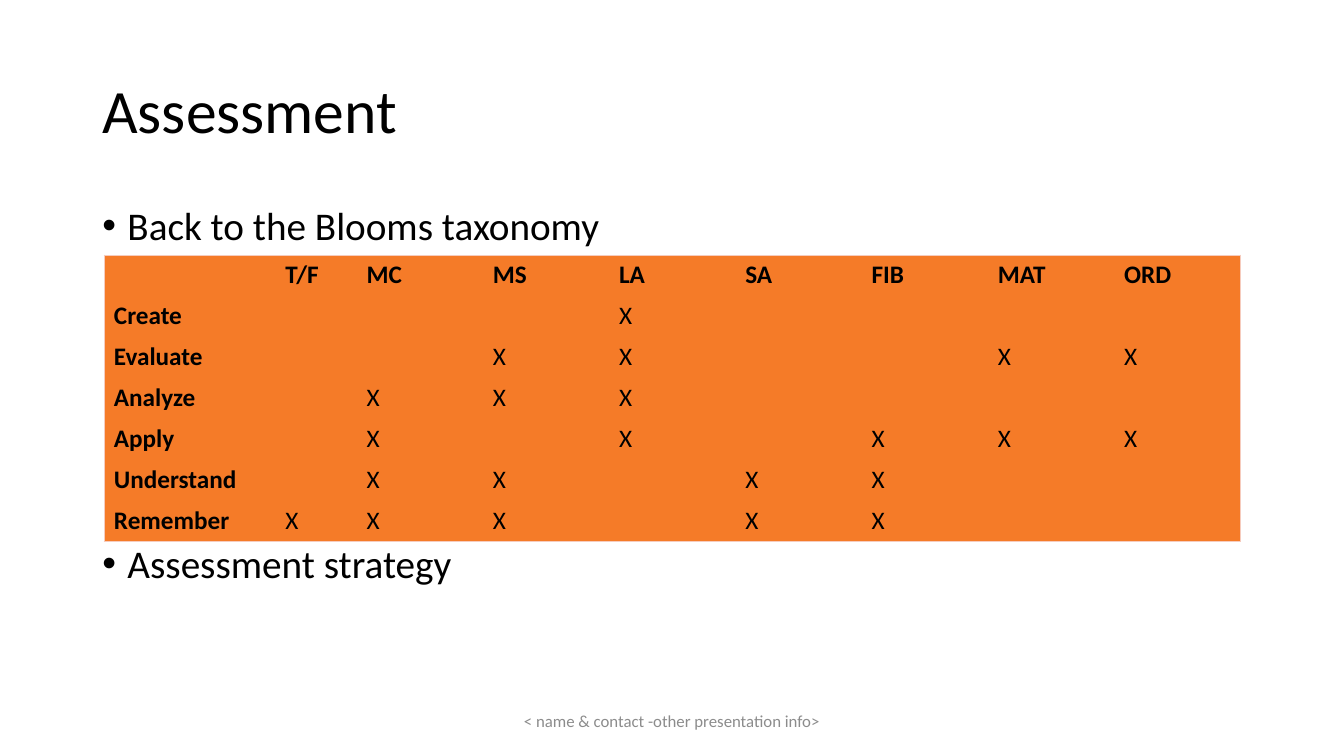
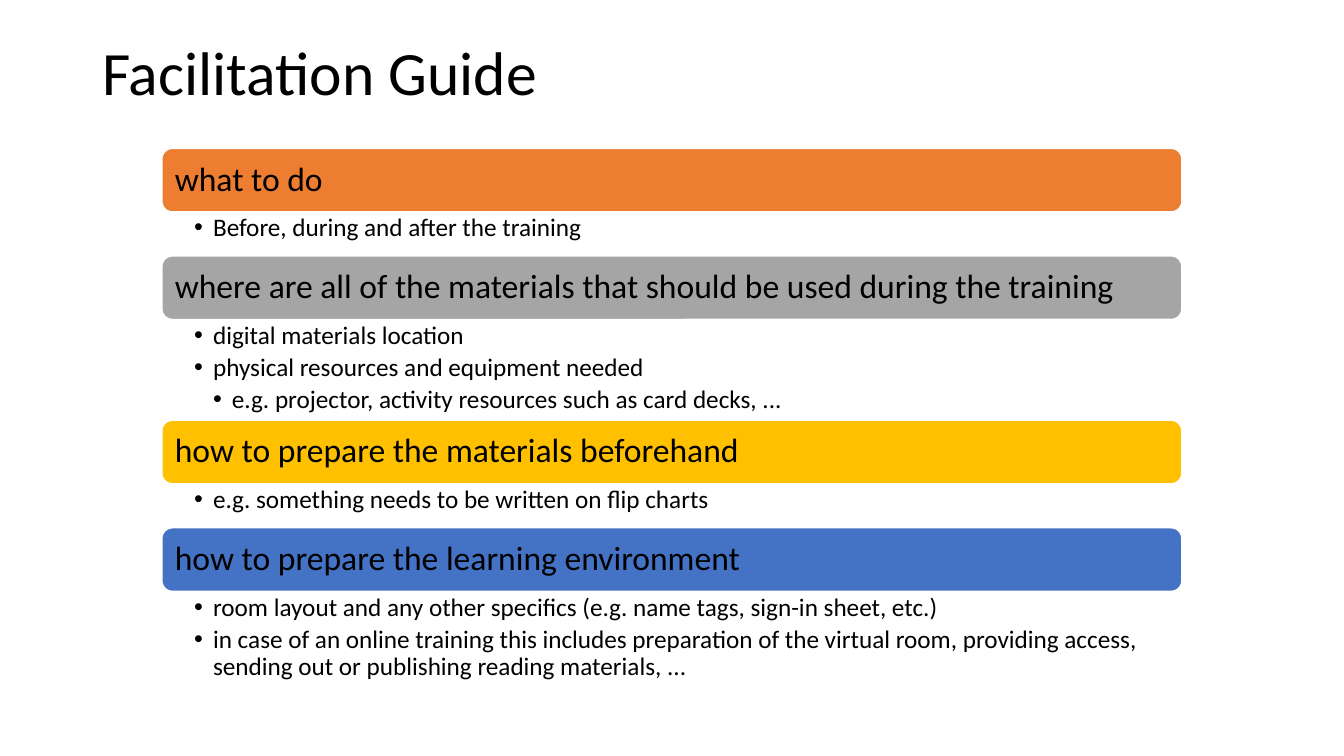
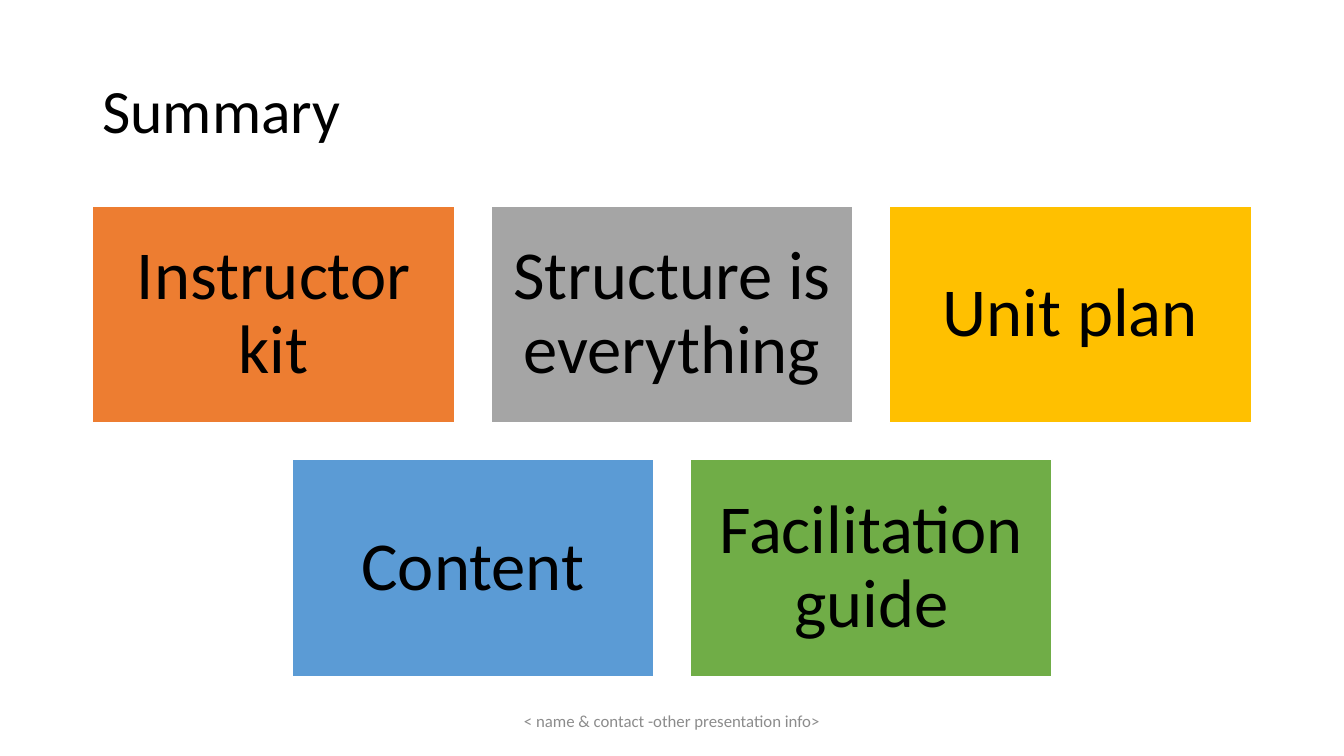
from dataclasses import dataclass
from lxml.etree import SubElement
from pptx import Presentation
from pptx.dml.color import RGBColor
from pptx.enum.shapes import MSO_SHAPE as Shape
from pptx.enum.text import MSO_ANCHOR as Anchor, PP_ALIGN as Align
from pptx.oxml.ns import qn
from pptx.util import Pt


@dataclass(frozen=True)
class Theme:
    font: str = "Calibri"
    black: str = "000000"
    white: str = "FFFFFF"
    orange: str = "ED7D31"
    gray: str = "A5A5A5"
    gold: str = "FFC000"
    blue: str = "4472C4"
    sky: str = "5B9BD5"
    green: str = "70AD47"
    table_fill: str = "F57B28"
    table_edge: str = "F6CCBE"
    footer_gray: str = "8C8C8C"
    title: int = 44
    body: int = 28
    band: int = 24
    detail: int = 18
    tile: int = 49
    footer: int = 12


THEME = Theme()
SLIDE_WIDTH, SLIDE_HEIGHT = 960, 540
LEFT, CONTENT_WIDTH = 66, 828
DEFAULT_INSETS = (7.2, 3.6, 7.2, 3.6)
NO_TABLE_STYLE = "{2D5ABB26-0587-4C30-8999-92F81FD0307C}"

FOOTER = "< name & contact -other presentation info>"

BLOOM_BULLETS = [("Back to the Blooms taxonomy", 144), ("Assessment strategy", 385.4)]
QUESTION_TYPES = ["T/F", "MC", "MS", "LA", "SA", "FIB", "MAT", "ORD"]
BLOOM_LEVELS = [
    ("Create", ["LA"]),
    ("Evaluate", ["MS", "LA", "MAT", "ORD"]),
    ("Analyze", ["MC", "MS", "LA"]),
    ("Apply", ["MC", "LA", "FIB", "MAT", "ORD"]),
    ("Understand", ["MC", "MS", "SA", "FIB"]),
    ("Remember", ["T/F", "MC", "MS", "SA", "FIB"]),
]

GUIDE = [
    ("what to do", THEME.orange, 31.4, [
        (1, "Before, during and after the training"),
    ]),
    ("where are all of the materials that should be used during the training", THEME.gray, 72, [
        (1, "digital materials location"),
        (1, "physical resources and equipment needed"),
        (2, "e.g. projector, activity resources such as card decks, ..."),
    ]),
    ("how to prepare the materials beforehand", THEME.gold, 31.4, [
        (1, "e.g. something needs to be written on flip charts"),
    ]),
    ("how to prepare the learning environment", THEME.blue, 68.4, [
        (1, "room layout and any other specifics (e.g. name tags, sign-in sheet, etc.)"),
        (1, "in case of an online training this includes preparation of the virtual room, "
            "providing access, sending out or publishing reading materials, ..."),
    ]),
]

SUMMARY_ROWS = [
    [("Instructor kit", THEME.orange), ("Structure is everything", THEME.gray),
     ("Unit plan", THEME.gold)],
    [("Content", THEME.sky), ("Facilitation guide", THEME.green)],
]


def color(value):
    return RGBColor.from_string(value)


def style(para, size, ink=THEME.black, bold=False, align=Align.LEFT, spacing=None):
    para.alignment = align
    if spacing:
        para.line_spacing = spacing
    for span in para.runs:
        span.font.name = THEME.font
        span.font.size = Pt(size)
        span.font.bold = bold
        span.font.color.rgb = color(ink)


def add_bullet(para, indent, level=1):
    properties = para._p.get_or_add_pPr()
    properties.set("marL", str(Pt(indent * level)))
    properties.set("indent", str(-Pt(indent)))
    SubElement(properties, qn("a:buFont"), typeface="Arial")
    SubElement(properties, qn("a:buChar"), char="•")


def prepare_frame(box, anchor, insets=DEFAULT_INSETS):
    frame = box.text_frame
    frame.word_wrap = True
    frame.vertical_anchor = anchor
    (frame.margin_left, frame.margin_top,
     frame.margin_right, frame.margin_bottom) = map(Pt, insets)
    return frame


def add_text(page, area, anchor=Anchor.TOP, insets=DEFAULT_INSETS):
    return prepare_frame(page.shapes.add_textbox(*map(Pt, area)), anchor, insets)


def add_block(page, kind, area, fill, text, size, inset, align):
    block = page.shapes.add_shape(kind, *map(Pt, area))
    block.shadow.inherit = False
    block.fill.solid()
    block.fill.fore_color.rgb = color(fill)
    block.line.color.rgb = color(THEME.white)
    block.line.width = Pt(1)
    frame = prepare_frame(block, Anchor.MIDDLE, (inset,) * 4)
    frame.text = text
    style(frame.paragraphs[0], size, align=align, spacing=0.9)


def add_page(deck, title, title_top=28.8, footer=True):
    page = deck.slides.add_slide(deck.slide_layouts[6])
    frame = add_text(page, (LEFT, title_top, CONTENT_WIDTH, 104.4), Anchor.MIDDLE)
    frame.text = title
    style(frame.paragraphs[0], THEME.title, spacing=0.9)
    if footer:
        frame = add_text(page, (318, 500.5, 324, 28.8), Anchor.MIDDLE)
        frame.text = FOOTER
        style(frame.paragraphs[0], THEME.footer, THEME.footer_gray, align=Align.CENTER)
    return page


def add_edges(cell, sides):
    properties = cell._tc.get_or_add_tcPr()
    for side in sides:
        line = SubElement(properties, qn(f"a:ln{side}"), w=str(Pt(0.5)))
        fill = SubElement(line, qn("a:solidFill"))
        SubElement(fill, qn("a:srgbClr"), val=THEME.table_edge)


def add_bloom_table(page):
    rows = [[""] + QUESTION_TYPES]
    for level, marked in BLOOM_LEVELS:
        rows.append([level] + ["X" if kind in marked else "" for kind in QUESTION_TYPES])
    widths = [122.4, 58] + [90.2] * (len(QUESTION_TYPES) - 1)
    row_height = 29.2
    area = (74.2, 182, sum(widths), row_height * len(rows))
    table = page.shapes.add_table(len(rows), len(widths), *map(Pt, area)).table
    table.first_row = table.horz_banding = False
    table._tbl.tblPr.find(qn("a:tableStyleId")).text = NO_TABLE_STYLE
    for column, width in zip(table.columns, widths):
        column.width = Pt(width)
    for r, row in enumerate(rows):
        table.rows[r].height = Pt(row_height)
        for c, text in enumerate(row):
            cell = table.cell(r, c)
            at_edge = {"L": c == 0, "R": c == len(row) - 1,
                       "T": r == 0, "B": r == len(rows) - 1}
            add_edges(cell, [side for side, outer in at_edge.items() if outer])
            cell.fill.solid()
            cell.fill.fore_color.rgb = color(THEME.table_fill)
            cell.text_frame.text = text
            style(cell.text_frame.paragraphs[0], THEME.detail, bold=r == 0 or c == 0)


def build_assessment(deck):
    page = add_page(deck, "Assessment")
    for text, top in BLOOM_BULLETS:
        frame = add_text(page, (LEFT, top, CONTENT_WIDTH, 38))
        frame.text = text
        add_bullet(frame.paragraphs[0], 18)
        style(frame.paragraphs[0], THEME.body, spacing=0.9)
    add_bloom_table(page)


def build_guide(deck):
    page = add_page(deck, "Facilitation Guide", title_top=1.4, footer=False)
    left, top, width, band_height = 115.6, 106, 728.6, 45.4
    for heading, fill, details_height, details in GUIDE:
        add_block(page, Shape.ROUNDED_RECTANGLE, (left, top, width, band_height),
                  fill, heading, THEME.band, 7.2, Align.LEFT)
        top += band_height
        frame = add_text(page, (left, top, width, details_height),
                         insets=(23.1, 2.2, 10.1, 2.2))
        frame.text = "\n".join(text for _, text in details)
        for para, (level, _) in zip(frame.paragraphs, details):
            add_bullet(para, 13.5, level)
            para.space_after = Pt(3.6)
            style(para, THEME.detail, spacing=0.9)
        top += details_height


def build_summary(deck):
    page = add_page(deck, "Summary")
    width, height, gap, first_top = 258.6, 155.2, 25.9, 147
    for r, row in enumerate(SUMMARY_ROWS):
        row_width = len(row) * (width + gap) - gap
        row_left = (SLIDE_WIDTH - row_width) / 2
        for c, (text, fill) in enumerate(row):
            area = (row_left + c * (width + gap), first_top + r * (height + gap), width, height)
            add_block(page, Shape.RECTANGLE, area, fill, text, THEME.tile, 14.4, Align.CENTER)


def main():
    deck = Presentation()
    deck.slide_width, deck.slide_height = Pt(SLIDE_WIDTH), Pt(SLIDE_HEIGHT)
    build_assessment(deck)
    build_guide(deck)
    build_summary(deck)
    deck.save("out.pptx")


if __name__ == "__main__":
    main()
